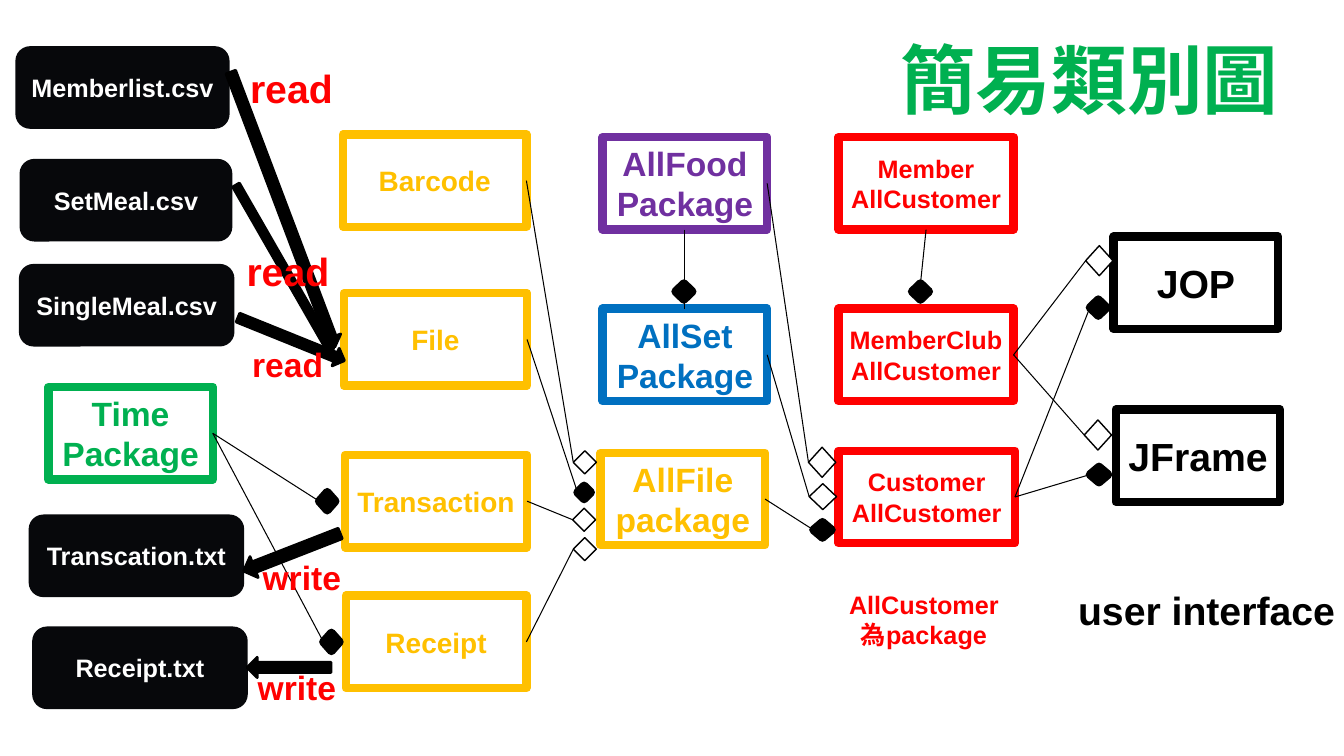
import dataclasses

import pptx
import pptx.dml.color
import pptx.enum.shapes
import pptx.enum.text
import pptx.util
from pptx.oxml.ns import qn

Pt = pptx.util.Pt
RGB = pptx.dml.color.RGBColor.from_string
Shape = pptx.enum.shapes.MSO_SHAPE
Align = pptx.enum.text.PP_ALIGN
Anchor = pptx.enum.text.MSO_ANCHOR

TOP, LEFT, BOTTOM, RIGHT = range(4)  # connection sites


@dataclasses.dataclass(frozen=True)
class Theme:
    font: str = "Arial"
    title_font: str = "Calibri"
    black: str = "000000"
    white: str = "FFFFFF"
    file: str = "07080B"
    red: str = "FF0000"
    yellow: str = "FFC000"
    green: str = "00B050"
    blue: str = "0070C0"
    purple: str = "7030A0"
    title: int = 54
    large: int = 28
    medium: int = 24
    normal: int = 20
    small: int = 18


THEME = Theme()

# name: (text, left, top, width, colour, size)
CLASSES = {
    "Barcode": ("Barcode", 245, 96, 131, THEME.yellow, THEME.normal),
    "File": ("File", 245.5, 209.5, 131, THEME.yellow, THEME.normal),
    "Transaction": ("Transaction", 246.5, 325, 130, THEME.yellow, THEME.normal),
    "Receipt": ("Receipt", 247, 425.5, 129, THEME.yellow, THEME.normal),
    "Time": ("Time\nPackage", 34.5, 276.5, 117.5, THEME.green, THEME.medium),
    "AllFood": ("AllFood\nPackage", 430.5, 98, 117.5, THEME.purple, THEME.medium),
    "AllSet": ("AllSet\nPackage", 430.5, 220.5, 117.5, THEME.blue, THEME.medium),
    "AllFile": ("AllFile\npackage", 429, 323.5, 117.5, THEME.yellow, THEME.medium),
    "Member": ("Member\nAllCustomer", 599, 98, 125, THEME.red, THEME.small),
    "MemberClub": ("MemberClub\nAllCustomer", 599, 220.5, 125, THEME.red, THEME.small),
    "Customer": ("Customer\nAllCustomer", 599, 322, 126, THEME.red, THEME.small),
    "JOP": ("JOP", 795.5, 169, 117.5, THEME.black, THEME.large),
    "JFrame": ("JFrame", 797, 292.5, 117.5, THEME.black, THEME.large),
}

# text, left, top, width
FILES = [
    ("Memberlist.csv", 12, 34, 151),
    ("SetMeal.csv", 15, 114.5, 150),
    ("SingleMeal.csv", 14.5, 189.5, 152),
    ("Transcation.txt", 21.5, 368.5, 152),
    ("Receipt.txt", 24, 448.5, 152),
]

# left, top, width, height, rotation
FILE_ARROWS = [
    (97, 142.5, 210, 14.5, 69.3),
    (134, 186.5, 138, 11, 60.1),
    (167, 235.5, 82, 13.5, 22),
    (171.5, 386.5, 74, 16, 158.7),
    (176.5, 469.5, 60, 14.5, 180),
]

# class, whether its diamond is solid, left, top, width, height
SIDE_LINKS = [
    ("Barcode", False, 409.5, 322, 16.5, 16.5),
    ("File", True, 412.5, 347, 9.5, 9.5),
    ("Transaction", False, 409, 363, 16.5, 16.5),
    ("Receipt", False, 409.5, 384, 16.5, 16.5),
    ("AllFile", True, 581, 373, 13, 11),
    ("AllSet", False, 578, 345.5, 19.5, 18.5),
    ("AllFood", False, 577.5, 319.5, 19.5, 21.5),
    ("MemberClub", False, 775.5, 175.5, 19.5, 21.5),
    ("MemberClub", False, 774.5, 300, 19.5, 21.5),
    ("Customer", True, 778.5, 214, 12, 11.5),
    ("Customer", True, 778.5, 333.5, 13, 11),
    ("Time", True, 228, 351.5, 11.5, 13),
    ("Time", True, 231, 452, 11.5, 13),
]

# text, left, top, width, height, format
LABELS = [
    ("read", 171.5, 42.5, 79, 41, {"size": THEME.large}),
    ("read", 169, 173, 79, 41, {"size": THEME.large}),
    ("read", 173, 242, 79, 36, {"size": THEME.medium}),
    ("write", 180.5, 394, 80, 37, {"size": THEME.medium}),
    ("write", 177, 472.5, 79, 36, {"size": THEME.medium}),
    ("AllCustomer 為package", 592, 417.5, 136, 51,
     {"size": THEME.small, "align": Align.CENTER}),
    ("user interface", 763, 415.5, 209.5, 41,
     {"size": THEME.large, "color": THEME.black}),
]


def write(frame, text, *, size, color, font=THEME.font, align=Align.CENTER,
          anchor=Anchor.MIDDLE):
    """Fill a text frame with bold text, one paragraph per line."""
    frame.word_wrap = True
    frame.vertical_anchor = anchor
    frame.text = text
    for paragraph in frame.paragraphs:
        paragraph.alignment = align
        for run in paragraph.runs:
            run.font.name = font
            run.font.size = Pt(size)
            run.font.bold = True
            run.font.color.rgb = RGB(color)


class Diagram:
    def __init__(self, slide, theme):
        self.slide = slide
        self.theme = theme

    def title(self, text, left, top, width, height):
        heading = self.slide.shapes.title
        heading.left, heading.top = Pt(left), Pt(top)
        heading.width, heading.height = Pt(width), Pt(height)
        frame = heading.text_frame
        write(frame, text, size=self.theme.title, color=self.theme.green,
              font=self.theme.title_font, anchor=Anchor.TOP)
        frame.auto_size = pptx.enum.text.MSO_AUTO_SIZE.NONE
        frame.margin_left = Pt(43)
        frame.paragraphs[0].line_spacing = 0.9
        frame.paragraphs[0].space_before = Pt(5)

    def shape(self, kind, left, top, width, height, *, line, weight, fill=None):
        shape = self.slide.shapes.add_shape(
            kind, Pt(left), Pt(top), Pt(width), Pt(height))
        shape.shadow.inherit = False
        if fill:
            shape.fill.solid()
            shape.fill.fore_color.rgb = RGB(fill)
        else:
            shape.fill.background()
        shape.line.color.rgb = RGB(line)
        shape.line.width = Pt(weight)
        return shape

    def class_box(self, text, left, top, width, color, size):
        box = self.shape(Shape.RECTANGLE, left, top, width, 66, line=color, weight=6)
        write(box.text_frame, text, size=size, color=color)
        return box

    def file_box(self, text, left, top, width):
        box = self.shape(Shape.ROUNDED_RECTANGLE, left, top, width, 57,
                         line=self.theme.file, weight=2, fill=self.theme.file)
        write(box.text_frame, text, size=self.theme.small, color=self.theme.white)

    def file_arrow(self, left, top, width, height, rotation):
        arrow = self.shape(Shape.RIGHT_ARROW, left, top, width, height,
                           line=self.theme.black, weight=2, fill=self.theme.black)
        arrow.rotation = rotation

    def diamond(self, solid, *place):
        return self.shape(Shape.FLOWCHART_DECISION, *place,
                          line=self.theme.black, weight=6 if solid else 1,
                          fill=self.theme.black if solid else self.theme.white)

    def link(self, start, start_site, end, end_site):
        line = self.slide.shapes.add_connector(
            pptx.enum.shapes.MSO_CONNECTOR.STRAIGHT, 0, 0, 0, 0)
        line.begin_connect(start, start_site)
        line.end_connect(end, end_site)
        line.line.color.rgb = RGB(self.theme.black)
        line.line.width = Pt(0.75)
        properties = line._element.spPr
        properties.append(properties.makeelement(qn("a:effectLst"), {}))

    def label(self, text, left, top, width, height, style):
        box = self.slide.shapes.add_textbox(Pt(left), Pt(top), Pt(width), Pt(height))
        defaults = {"color": self.theme.red, "align": Align.LEFT, "anchor": Anchor.TOP}
        write(box.text_frame, text, **{**defaults, **style})


def main():
    deck = pptx.Presentation()
    deck.slide_width, deck.slide_height = Pt(960), Pt(540)
    diagram = Diagram(deck.slides.add_slide(deck.slide_layouts[5]), THEME)

    diagram.title("簡易類別圖", 599, 27.5, 322.5, 85)
    boxes = {name: diagram.class_box(*box) for name, box in CLASSES.items()}
    for file in FILES:
        diagram.file_box(*file)
    for arrow in FILE_ARROWS:
        diagram.file_arrow(*arrow)

    for name, solid, *place in SIDE_LINKS:
        diagram.link(boxes[name], RIGHT, diagram.diamond(solid, *place), LEFT)
    member_end = diagram.diamond(True, 651.5, 202.5, 12, 11.5)
    diagram.link(boxes["Member"], BOTTOM, member_end, TOP)
    diagram.diamond(True, 482.5, 202.5, 12, 11.5)
    diagram.link(boxes["AllFood"], BOTTOM, boxes["AllSet"], TOP)

    for label in LABELS:
        diagram.label(*label)
    deck.save("out.pptx")


if __name__ == "__main__":
    main()
